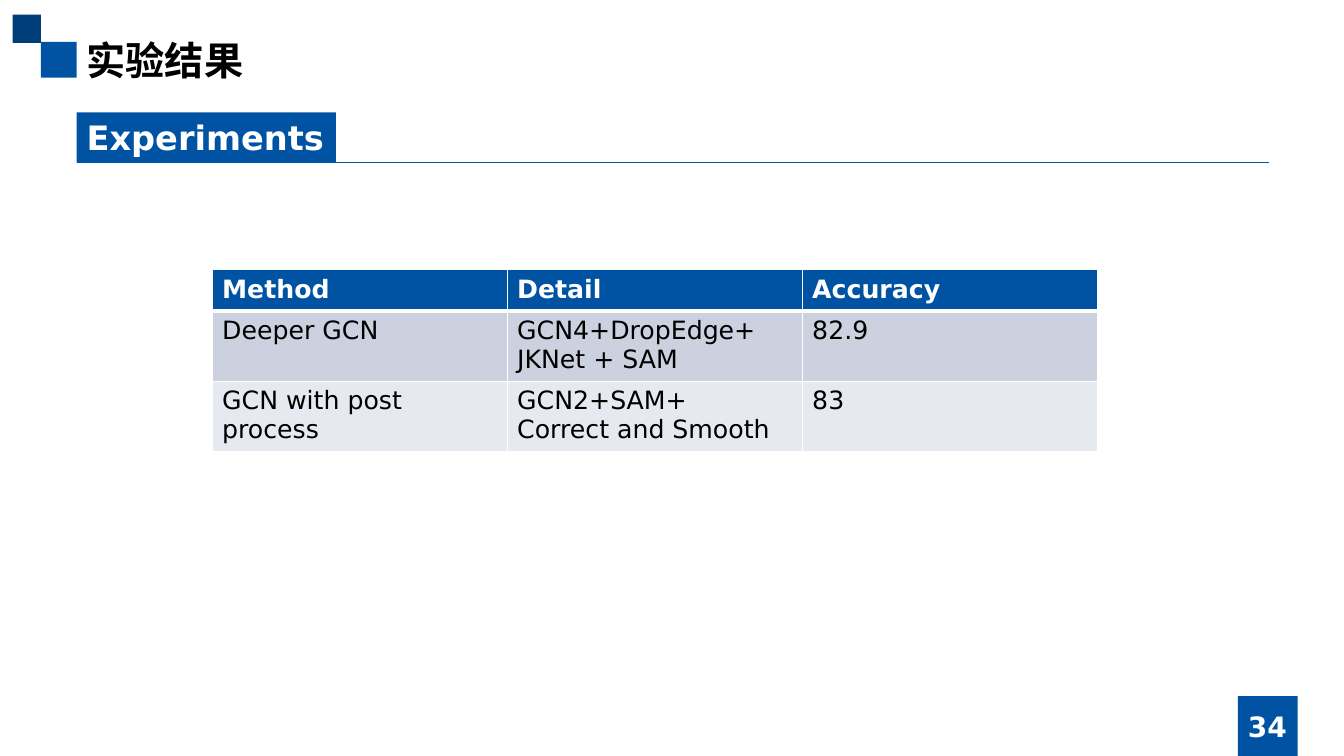
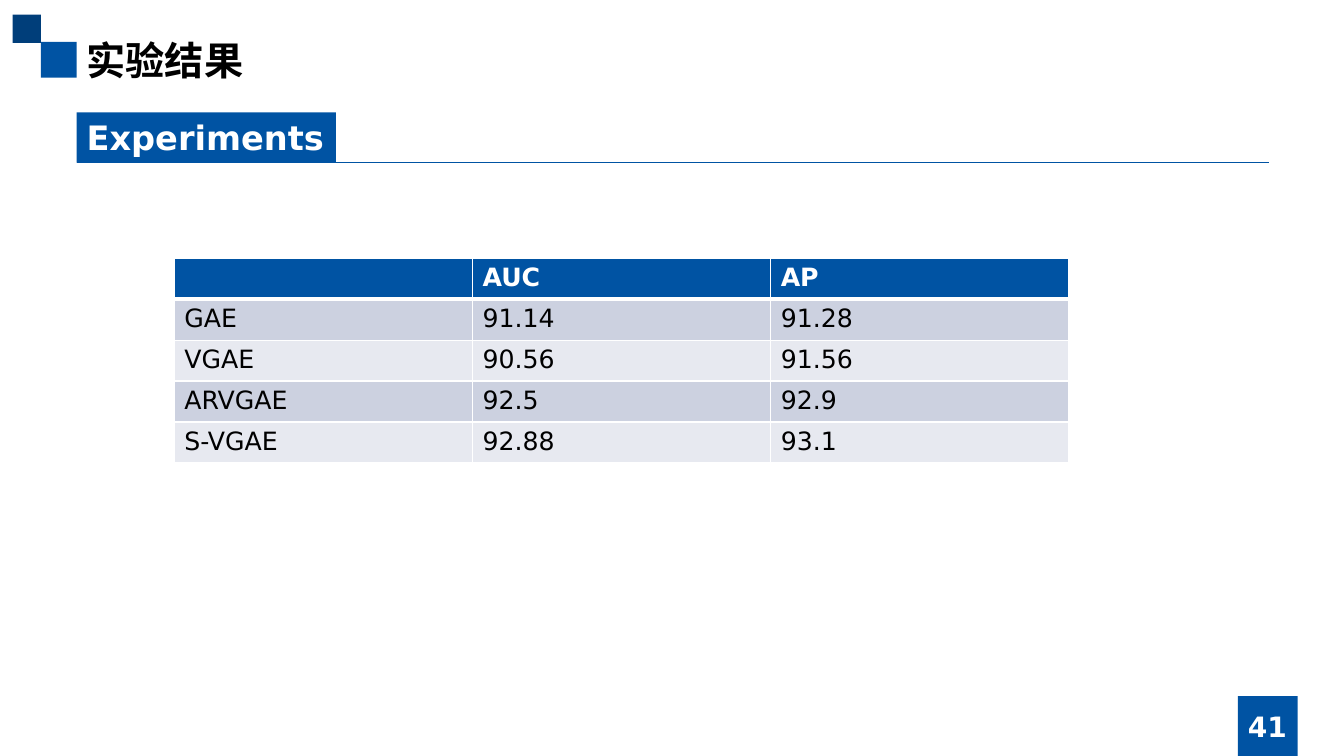
from lxml.etree import SubElement
from pptx import Presentation
from pptx.dml.color import RGBColor
from pptx.enum.shapes import MSO_CONNECTOR as Connector, MSO_SHAPE as Shape
from pptx.enum.text import MSO_ANCHOR as Anchor, MSO_AUTO_SIZE as AutoSize, PP_ALIGN as Align
from pptx.oxml import parse_xml
from pptx.oxml.ns import nsdecls, qn
from pptx.util import Pt

PX = 9525  # 96 px to the inch
BLUE = RGBColor(0x00, 0x53, 0xA3)
NAVY = RGBColor(0x00, 0x3E, 0x7A)
BAND_DARK = RGBColor(0xCC, 0xD1, 0xE0)
BAND_LIGHT = RGBColor(0xE7, 0xE9, 0xF0)
WHITE = RGBColor(0xFF, 0xFF, 0xFF)
BLACK = RGBColor(0x00, 0x00, 0x00)
LATIN, CHINESE = "DejaVu Sans", "Noto Sans CJK SC"

TITLE = {"name": CHINESE, "size": Pt(28), "bold": True}
HEADING = {"name": LATIN, "size": Pt(24), "bold": True}
PAGE_NUMBER = {"name": LATIN, "size": Pt(20), "bold": True}
TABLE_HEAD = {"name": LATIN, "size": Pt(18), "bold": True}
TABLE_BODY = {"name": LATIN, "size": Pt(18), "bold": False}
ROW_HEIGHT = 39

# Page number, table left, top and column width, table rows
SLIDES = [
    (34, 202, 257, 281, [
        ("Method", "Detail", "Accuracy"),
        ("Deeper GCN", "GCN4+DropEdge+\nJKNet + SAM", "82.9"),
        ("GCN with post process", "GCN2+SAM+\nCorrect and Smooth", "83"),
    ]),
    (41, 166, 246, 284, [
        ("", "AUC", "AP"),
        ("GAE", "91.14", "91.28"),
        ("VGAE", "90.56", "91.56"),
        ("ARVGAE", "92.5", "92.9"),
        ("S-VGAE", "92.88", "93.1"),
    ]),
]


def write(frame, text, style, color, align=Align.LEFT):
    frame.text = text
    for paragraph in frame.paragraphs:
        paragraph.alignment = align
        for run in paragraph.runs:
            for name, value in style.items():
                setattr(run.font, name, value)
            run.font.color.rgb = color
            east_asian = SubElement(run.font._element, qn("a:ea"))
            east_asian.set("typeface", style["name"])


def add_block(shapes, left, top, width, height, color):
    block = shapes.add_shape(Shape.RECTANGLE, left * PX, top * PX, width * PX, height * PX)
    block.shadow.inherit = False
    block.fill.solid()
    block.fill.fore_color.rgb = color
    block.line.fill.background()
    return block


presentation = Presentation()
presentation.slide_width = 1280 * PX
presentation.slide_height = 720 * PX
layout = presentation.slide_layouts.get_by_name("Title Only")

for number, table_left, table_top, column_width, rows in SLIDES:
    slide = presentation.slides.add_slide(layout)

    # Squares, drawn once and moved to the shared layout
    if len(presentation.slides) == 1:
        for square in [(39, 40, 34, 34, BLUE), (12, 14, 27, 27, NAVY), (1179, 663, 57, 57, BLUE)]:
            layout.shapes.element.append(add_block(slide.shapes, *square).element)

    # Title
    title = slide.shapes.title
    title.left, title.top, title.width, title.height = 73 * PX, 30 * PX, 1134 * PX, 55 * PX
    title.text_frame.vertical_anchor = Anchor.TOP
    title.text_frame.auto_size = AutoSize.SHAPE_TO_FIT_TEXT
    write(title.text_frame, "实验结果", TITLE, BLACK)

    # Page number
    page_box = slide.shapes.add_textbox(1134 * PX, 673 * PX, 146 * PX, 38 * PX)
    page_box.text_frame.word_wrap = True
    page_box.text_frame.vertical_anchor = Anchor.MIDDLE
    write(page_box.text_frame, str(number), PAGE_NUMBER, WHITE, Align.CENTER)

    # Section heading with its rule
    heading_group = slide.shapes.add_group_shape()
    heading = add_block(heading_group.shapes, 73, 107, 247, 48, BLUE)
    heading.text_frame.word_wrap = False
    heading.text_frame.auto_size = AutoSize.SHAPE_TO_FIT_TEXT
    write(heading.text_frame, "Experiments", HEADING, WHITE)
    rule = heading_group.shapes.add_connector(
        Connector.STRAIGHT, 73 * PX, 155 * PX, 1209 * PX, 155 * PX)
    rule.line.color.rgb = BLUE
    rule.line.width = Pt(0.5)
    SubElement(rule._element.spPr, qn("a:effectLst"))

    # Results table
    columns = len(rows[0])
    table = slide.shapes.add_table(
        len(rows), columns, table_left * PX, table_top * PX,
        columns * column_width * PX, len(rows) * ROW_HEIGHT * PX).table
    for row_index, row in enumerate(rows):
        is_head = row_index == 0
        fill = BLUE if is_head else (BAND_LIGHT, BAND_DARK)[row_index % 2]
        for column_index, text in enumerate(row):
            cell = table.cell(row_index, column_index)
            cell.fill.solid()
            cell.fill.fore_color.rgb = fill
            write(cell.text_frame, text, TABLE_HEAD if is_head else TABLE_BODY,
                  WHITE if is_head else BLACK)
            # White borders, thicker below the header row
            borders = {"lnL": 1, "lnR": 1, "lnT": 3 if row_index == 1 else 1,
                       "lnB": 3 if is_head else 1}
            properties = cell._tc.get_or_add_tcPr()
            for position, (side, width) in enumerate(borders.items()):
                properties.insert(position, parse_xml(
                    f'<a:{side} {nsdecls("a")} w="{Pt(width)}"><a:solidFill>'
                    f'<a:srgbClr val="{WHITE}"/></a:solidFill></a:{side}>'))

presentation.save("out.pptx")
